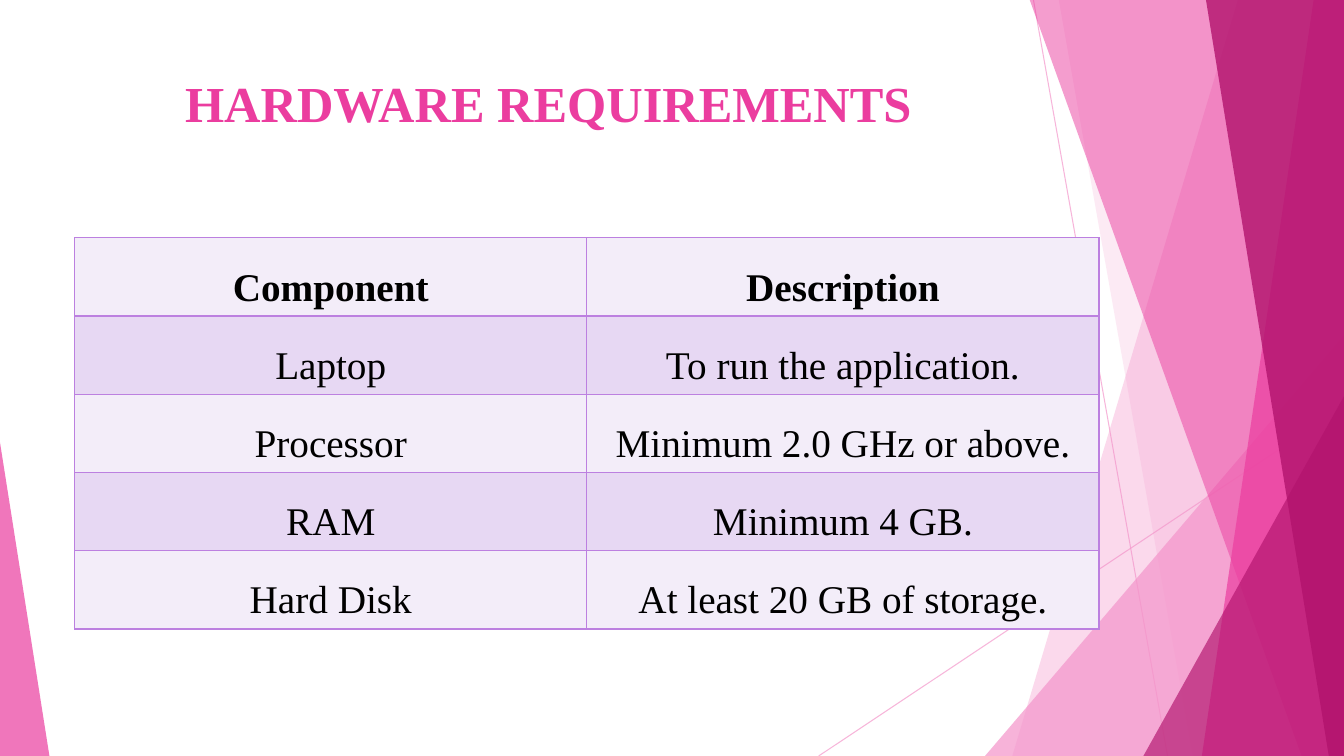
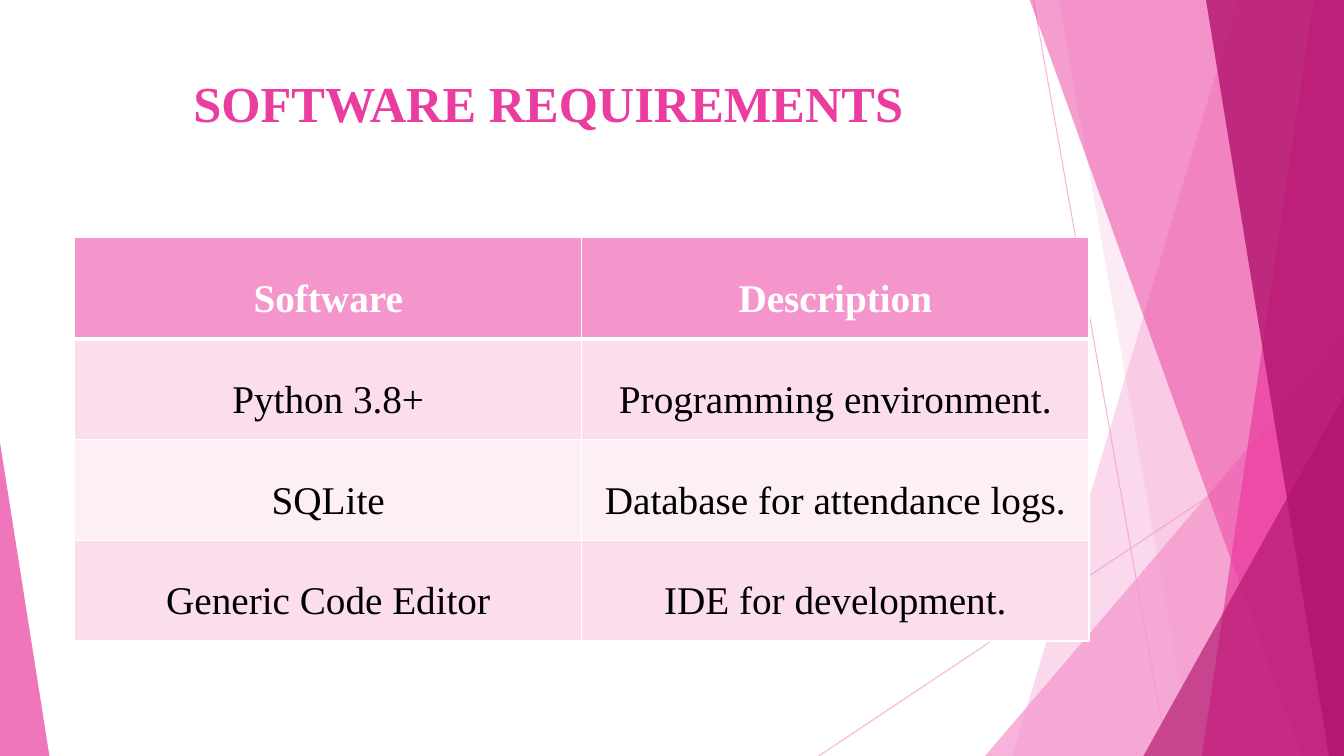
from dataclasses import dataclass

from lxml import etree
from pptx import Presentation
from pptx.dml.color import RGBColor
from pptx.enum import shapes, text
from pptx.oxml import ns
from pptx.util import Inches, Pt

WIDTH, HEIGHT, BLEED = 13.33, 7.5, -0.01
LEFT, TABLE_TOP = 0.74, 2.36
FONT = "Times New Roman"
LIGHT, PINK, DARK = "F496CB", "EB3D9F", "B2136D"
WHITE, BLACK = "FFFFFF", "000000"


@dataclass(frozen=True)
class Ray:
    x1: float
    y1: float
    x2: float
    y2: float


@dataclass(frozen=True)
class Band:
    top_x: float
    bottom_x: float
    color: str
    opacity: int


@dataclass(frozen=True)
class Wedge:
    left: float
    top: float
    width: float
    apex: float
    color: str
    opacity: int


@dataclass(frozen=True)
class TableStyle:
    col_width: float
    row_height: float
    border: str
    header_rule: float
    header_fill: str
    header_color: str
    bands: tuple[str, str]


@dataclass(frozen=True)
class Page:
    title: str
    rows: tuple[tuple[str, str], ...]
    style: TableStyle


DECORATION = (
    Ray(10.25, 0, 11.58, HEIGHT),
    Ray(WIDTH, 4.03, 8.12, HEIGHT),
    Band(12.28, 10.04, LIGHT, 36),
    Band(10.5, 11.83, LIGHT, 20),
    Wedge(9.77, 3.33, 3.56, 1, LIGHT, 72),
    Band(10.21, 12.91, PINK, 50),
    Band(13.03, 11.92, PINK, 70),
    Band(11.96, 13.18, DARK, 80),
    Wedge(11.34, 3.93, 1.99, 1, DARK, 66),
    Wedge(0, 4.39, 0.49, 0, PINK, 70),
)

LILAC = TableStyle(5.08, 0.776, "BC80E0", 1, "F3EDF9", BLACK, ("E7D8F3", "F3EDF9"))
ROSE = TableStyle(5.03, 1, WHITE, 3, LIGHT, WHITE, ("FBDDEC", "FDEFF6"))

PAGES = (
    Page("HARDWARE REQUIREMENTS", (
        ("Component", "Description"),
        ("Laptop", "To run the application."),
        ("Processor", "Minimum 2.0 GHz or above."),
        ("RAM", "Minimum 4 GB."),
        ("Hard Disk", "At least 20 GB of storage."),
    ), LILAC),
    Page("SOFTWARE REQUIREMENTS", (
        ("Software", "Description"),
        ("Python 3.8+", "Programming environment."),
        ("SQLite", "Database for attendance logs."),
        ("Generic Code Editor", "IDE for development."),
    ), ROSE),
)


def paint(fill, color: str, opacity: int = 100) -> None:
    fill.solid()
    fill.fore_color.rgb = RGBColor.from_string(color)
    if opacity < 100:
        clr = fill._xPr.find(ns.qn("a:solidFill"))[0]
        etree.SubElement(clr, ns.qn("a:alpha"), val=str(opacity * 1000))


def format_text(p, size: float, color: str, bold: bool) -> None:
    p.alignment = text.PP_ALIGN.CENTER
    p.font.name, p.font.size, p.font.bold = FONT, Pt(size), bold
    paint(p.font.fill, color)


def draw_ray(slide, ray: Ray):
    line = slide.shapes.add_connector(
        shapes.MSO_CONNECTOR.STRAIGHT,
        Inches(ray.x1), Inches(ray.y1), Inches(ray.x2), Inches(ray.y2))
    line.line.width = Pt(0.75)
    paint(line.line.fill, LIGHT, 70)
    etree.SubElement(line._element.spPr, ns.qn("a:effectLst"))
    return line


def draw_panel(slide, panel: Band | Wedge):
    if isinstance(panel, Band):
        outline = slide.shapes.build_freeform(Inches(panel.top_x), Inches(BLEED))
        corners = ((WIDTH, BLEED), (WIDTH, HEIGHT), (panel.bottom_x, HEIGHT))
        outline.add_line_segments([(Inches(x), Inches(y)) for x, y in corners])
        sp = outline.convert_to_shape()
    else:
        sp = slide.shapes.add_shape(
            shapes.MSO_SHAPE.ISOSCELES_TRIANGLE, Inches(panel.left), Inches(panel.top),
            Inches(panel.width), Inches(HEIGHT - panel.top))
        sp.adjustments[0] = panel.apex
    paint(sp.fill, panel.color, panel.opacity)
    sp.line.fill.background()
    sp.shadow.inherit = False
    return sp


def decorate_layout(slide) -> None:
    tree = slide.slide_layout.shapes._spTree
    for number, item in enumerate(DECORATION, start=100):
        draw = draw_ray if isinstance(item, Ray) else draw_panel
        element = draw(slide, item)._element
        element.xpath(".//p:cNvPr")[0].set("id", str(number))
        tree.append(element)


def set_title(slide, title: str) -> None:
    sp = slide.shapes.title
    sp.left, sp.top, sp.width, sp.height = map(Inches, (LEFT, 0.67, 9.4, 1.44))
    tf = sp.text_frame
    tf.text = title
    tf.vertical_anchor = text.MSO_ANCHOR.TOP
    tf.auto_size = text.MSO_AUTO_SIZE.NONE
    format_text(tf.paragraphs[0], 36, PINK, True)


def set_borders(cell, color: str, top: float, bottom: float) -> None:
    tc_pr = cell._tc.get_or_add_tcPr()
    for side, width in (("L", 1), ("R", 1), ("T", top), ("B", bottom)):
        ln = etree.SubElement(tc_pr, ns.qn(f"a:ln{side}"), w=str(Pt(width)))
        fill = etree.SubElement(ln, ns.qn("a:solidFill"))
        etree.SubElement(fill, ns.qn("a:srgbClr"), val=color)


def add_requirements(slide, page: Page) -> None:
    style = page.style
    n_rows, n_cols = len(page.rows), len(page.rows[0])
    table = slide.shapes.add_table(
        n_rows, n_cols, Inches(LEFT), Inches(TABLE_TOP),
        Inches(n_cols * style.col_width), Inches(n_rows * style.row_height)).table
    table.horz_banding = False
    for i, row in enumerate(page.rows):
        header = i == 0
        for j, value in enumerate(row):
            cell = table.cell(i, j)
            cell.text = value
            cell.vertical_anchor = text.MSO_ANCHOR.MIDDLE
            cell.margin_left = cell.margin_right = Inches(0.01)
            cell.margin_top = cell.margin_bottom = Inches(0.01)
            set_borders(cell, style.border,
                        top=style.header_rule if i == 1 else 1,
                        bottom=style.header_rule if header else 1)
            paint(cell.fill, style.header_fill if header else style.bands[(i - 1) % 2])
            p = cell.text_frame.paragraphs[0]
            p.line_spacing = 1.5
            format_text(p, 28, style.header_color if header else BLACK, header)


def main() -> None:
    prs = Presentation()
    prs.slide_width, prs.slide_height = Inches(WIDTH), Inches(HEIGHT)
    layout = prs.slide_layouts.get_by_name("Title Only")
    for page in PAGES:
        slide = prs.slides.add_slide(layout)
        set_title(slide, page.title)
        add_requirements(slide, page)
    decorate_layout(prs.slides[0])
    prs.save("out.pptx")


if __name__ == "__main__":
    main()
